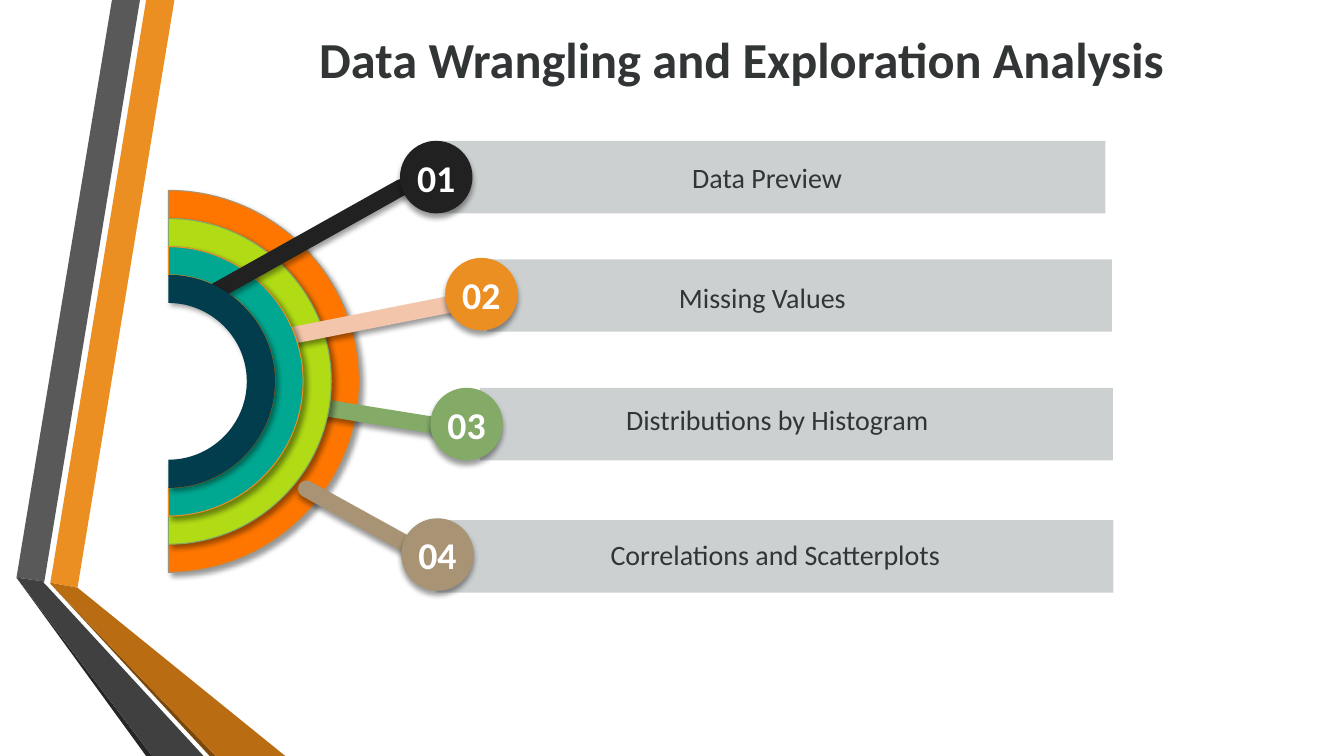
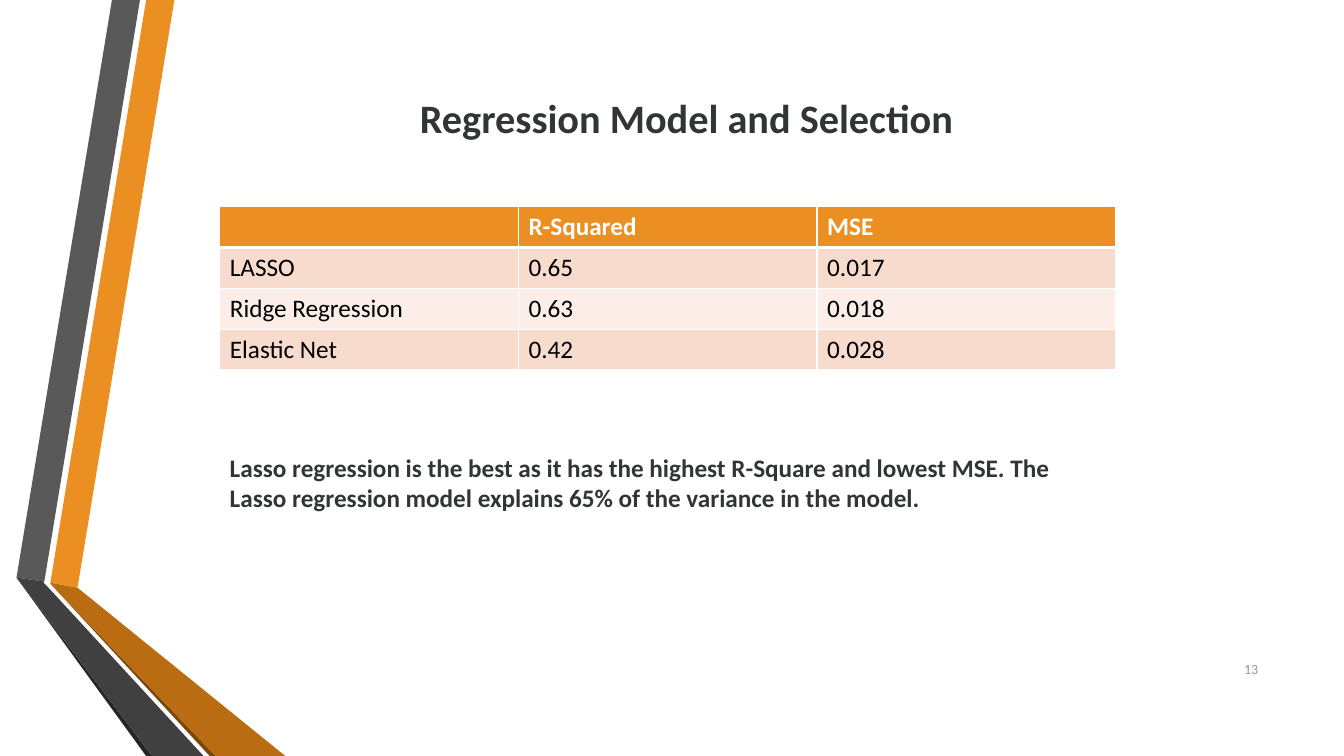
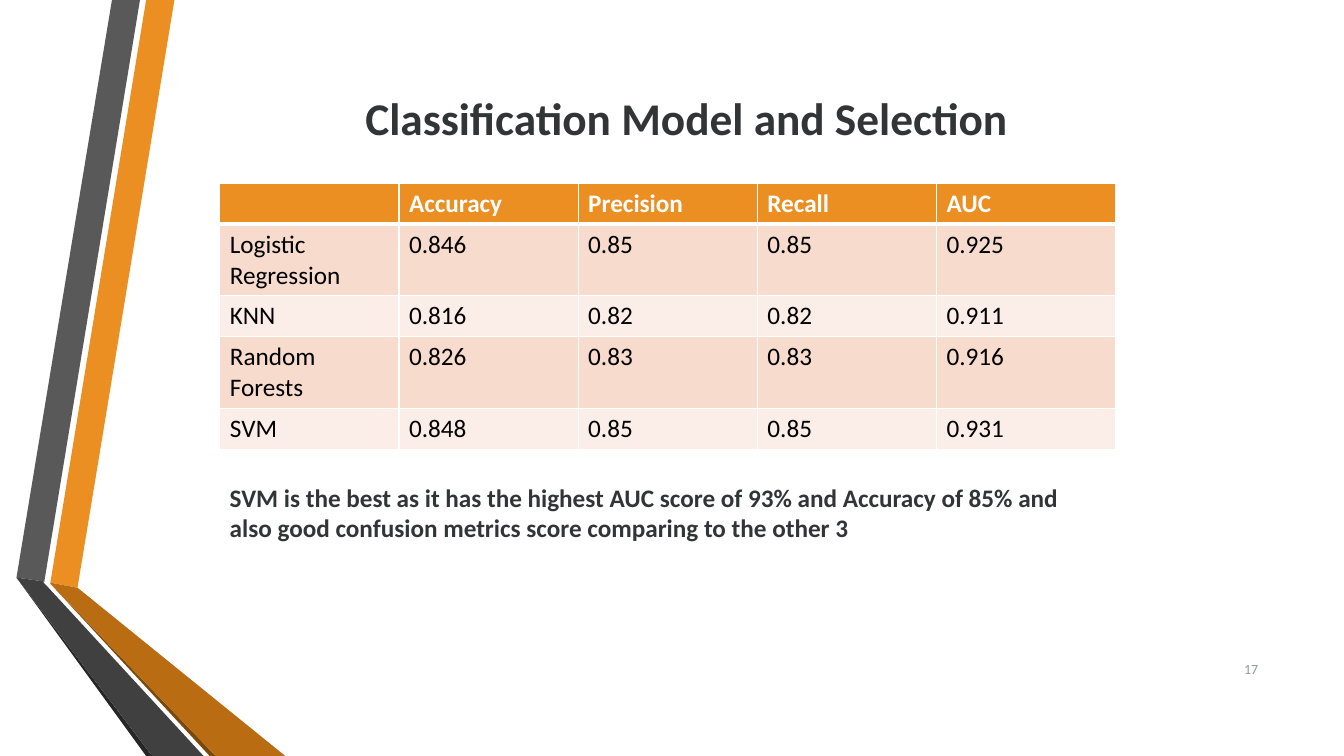
from dataclasses import dataclass

from lxml import etree
from pptx import Presentation
from pptx.dml.color import RGBColor
from pptx.enum.shapes import MSO_CONNECTOR, MSO_SHAPE
from pptx.enum.text import MSO_ANCHOR, MSO_AUTO_SIZE, PP_ALIGN
from pptx.oxml.ns import qn
from pptx.shapes.base import BaseShape
from pptx.slide import Slide
from pptx.text.text import TextFrame
from pptx.util import Pt

RECT, OVAL = MSO_SHAPE.RECTANGLE, MSO_SHAPE.OVAL
LINE = MSO_CONNECTOR.STRAIGHT
LEFT, MID, RIGHT = PP_ALIGN.LEFT, PP_ALIGN.CENTER, PP_ALIGN.RIGHT
TOP, CENTER = MSO_ANCHOR.TOP, MSO_ANCHOR.MIDDLE
FIXED = MSO_AUTO_SIZE.NONE

FACE = "Calibri"
INK, WHITE, BLACK = "323536", "FFFFFF", "000000"
ORANGE, GREEN, TAN, NIGHT = "EB8F22", "83AA67", "A89374", "212121"
PALE, MUTED = "CDD0D1", "9499A1"
BANDS = ("F7DBCD", "FBEEE8")

DISC = 51.8  # disc diameter and bar height
HUB = (120.3, 272.4)  # centre of the half rings
REACH, THICK = 136.4, 20.1  # outer radius, ring width
BEND = 0.55  # handle length of a quarter circle
EDGE, SPAN = 157, 640  # left and width of table and remark

Point = tuple[float, float]
Box = tuple[float, float, float, float]


@dataclass
class Ribbon:
    color: str
    points: list[Point]


@dataclass
class Ring:
    color: str
    edge: str | None


@dataclass
class Callout:
    num: str
    text: str
    color: str
    tone: str  # spoke colour
    bar: tuple[float, float, float]  # left, top, width
    label: tuple[float, float, float]
    disc: Point
    spoke: Box  # from x, y to x, y


@dataclass
class Report:
    title: str
    size: float
    top: float  # table top
    rows: list[list[str]]
    remark: str
    below: float  # remark top
    page: str


RIBBONS = [
    Ribbon(ORANGE, [(36, 416.2), (55.4, 419.8), (124.6, 0), (104.4, 0)]),
    Ribbon("595959", [(100, 0), (80, 0), (11.8, 412.6), (31.7, 415.4)]),
    Ribbon("262626", [(11.8, 412.6), (104.4, 540), (108.7, 540)]),
    Ribbon("7B480B", [(36, 416.9), (149.8, 540), (154.1, 540)]),
    Ribbon("B96C11", [(36, 416.9), (154.1, 540), (203.8, 540),
                      (55.4, 419.8), (36, 416.2)]),
    Ribbon("404040", [(145.4, 540), (34.6, 419.8), (31, 416.2), (31.7, 415.4),
                      (11.8, 412.6), (108.7, 540)]),
]

# Outermost ring first
RINGS = [Ring("FE7600", TAN), Ring("B1DB15", GREEN),
         Ring("00A891", ORANGE), Ring("013D4D", None)]

# Each callout lies on the ring of the same rank
CALLOUTS = [
    Callout("03", "Distributions by Histogram", GREEN, GREEN,
            (342.7, 277, 452.2), (379.2, 284.1, 352),
            (307.4, 277), (207.4, 287.3, 332.6, 307.4)),
    Callout("02", "Missing Values", ORANGE, "F3C6AC",
            (347.8, 185.2, 446.4), (368.6, 196.6, 352),
            (318, 184.2), (197.3, 241.9, 335.5, 214.6)),
    Callout("01", "Data Preview", NIGHT, NIGHT,
            (306, 100.6, 483.6), (337.7, 110.9, 420.5),
            (285.7, 100.6), (149, 211, 286.6, 133.9)),
    Callout("04", "Correlations and Scatterplots", TAN, TAN,
            (311.8, 371.6, 483.6), (377.8, 380.6, 352),
            (286.6, 370.2), (218.9, 349.2, 308.9, 398.9)),
]

REPORTS = [
    Report("Regression Model and Selection", 28.8, 147.5, [
        ["", "R-Squared", "MSE"],
        ["LASSO", "0.65", "0.017"],
        ["Ridge Regression", "0.63", "0.018"],
        ["Elastic Net", "0.42", "0.028"],
    ], "Lasso regression is the best as it has the highest R-Square and lowest "
       "MSE. The Lasso regression model explains 65% of the variance in the "
       "model.", 319.3, "13"),
    Report("Classification Model and Selection", 32.4, 131, [
        ["", "Accuracy", "Precision", "Recall", "AUC"],
        ["Logistic Regression", "0.846", "0.85", "0.85", "0.925"],
        ["KNN", "0.816", "0.82", "0.82", "0.911"],
        ["Random Forests", "0.826", "0.83", "0.83", "0.916"],
        ["SVM", "0.848", "0.85", "0.85", "0.931"],
    ], "SVM is the best as it has the highest AUC score of 93% and Accuracy of "
       "85% and also good confusion metrics score comparing to the other 3",
        340.6, "17"),
]


def paint(fill, color: str) -> None:
    fill.solid()
    fill.fore_color.rgb = RGBColor.from_string(color)


def shade(shape: BaseShape, angle: int | None = None) -> None:
    """Replace the theme shadow by none, or by a soft one at an angle."""
    fx = etree.SubElement(shape.element.spPr, qn("a:effectLst"))
    if angle is not None:
        drop = etree.SubElement(fx, qn("a:outerShdw"), blurRad=str(Pt(4)),
                                dist=str(Pt(3)), dir=str(angle * 60000),
                                algn="ctr", rotWithShape="0")
        tint = etree.SubElement(drop, qn("a:srgbClr"), val=BLACK)
        etree.SubElement(tint, qn("a:alpha"), val="40000")


def finish(shape: BaseShape, color: str, edge: str | None = None,
           angle: int | None = None) -> None:
    paint(shape.fill, color)
    if edge:
        paint(shape.line.fill, edge)
        shape.line.width = Pt(0)
    else:
        shape.line.fill.background()
    shade(shape, angle)


def write(frame: TextFrame, text: str, size: float, color: str = INK,
          bold: bool = False, align=LEFT) -> None:
    para = frame.paragraphs[0]
    para.text = text
    para.alignment = align
    font = para.font
    font.name, font.size, font.bold = FACE, Pt(size), bold
    font.color.rgb = RGBColor.from_string(color)


def label(slide: Slide, box: Box, text: str, size: float, color: str = INK,
          bold: bool = False, align=LEFT, anchor=TOP, pad: float = 7.2) -> None:
    frame = slide.shapes.add_textbox(*map(Pt, box)).text_frame
    frame.word_wrap = True
    frame.vertical_anchor = anchor
    frame.margin_left = frame.margin_right = Pt(pad)
    write(frame, text, size, color, bold, align)


def outline(slide: Slide, points: list[Point]) -> BaseShape:
    first, *rest = [(Pt(x), Pt(y)) for x, y in points]
    pen = slide.shapes.build_freeform(*first)
    pen.add_line_segments(rest, close=True)
    return pen.convert_to_shape()


def head(slide: Slide, text: str, size: float, box: Box) -> None:
    title = slide.shapes.title
    title.left, title.top, title.width, title.height = map(Pt, box)
    frame = title.text_frame
    frame.auto_size, frame.vertical_anchor = FIXED, CENTER
    write(frame, text, size, bold=True, align=MID)


def arc(radius: float) -> list[Point]:
    """Nodes and handles of the right half circle, from top to bottom."""
    x, y = HUB
    bend = BEND * radius
    return [(x, y - radius), (x + bend, y - radius), (x + radius, y - bend),
            (x + radius, y), (x + radius, y + bend), (x + bend, y + radius),
            (x, y + radius)]


def curve(shape: BaseShape) -> None:
    """Turn the straight steps along both arcs into Bezier curves."""
    steps = list(shape.element.iter(qn("a:lnTo")))
    for start in (0, 3, 7, 10):
        trio = steps[start:start + 3]
        bow = etree.Element(qn("a:cubicBezTo"))
        trio[0].addprevious(bow)
        for step in trio:
            bow.append(step[0])
            step.getparent().remove(step)


def draw_ring(slide: Slide, ring: Ring, rank: int) -> None:
    outer = REACH - rank * THICK
    half = outline(slide, arc(outer) + arc(outer - THICK)[::-1])
    curve(half)
    finish(half, ring.color, ring.edge, 45)


def draw_bar(slide: Slide, call: Callout) -> None:
    bar = slide.shapes.add_shape(RECT, *map(Pt, (*call.bar, DISC)))
    finish(bar, PALE)
    label(slide, (*call.label, 31.7), call.text, 20, align=MID, pad=0)


def draw_spoke(slide: Slide, call: Callout) -> None:
    spoke = slide.shapes.add_connector(LINE, *map(Pt, call.spoke))
    paint(spoke.line.fill, call.tone)
    spoke.line.width = Pt(12)
    spoke.element.spPr.find(qn("a:ln")).set("cap", "rnd")
    shade(spoke, 90)

    disc = slide.shapes.add_shape(OVAL, *map(Pt, (*call.disc, DISC, DISC)))
    finish(disc, call.color, angle=90)
    frame = disc.text_frame
    frame.vertical_anchor = CENTER
    frame.margin_left = frame.margin_right = 0
    frame.margin_top = frame.margin_bottom = Pt(2.9)
    write(frame, call.num, 27, WHITE, True, MID)


def border(cell, header: bool) -> None:
    props = cell._tc.get_or_add_tcPr()
    for i, side in enumerate(("lnL", "lnR", "lnT", "lnB")):
        width = 3 if header and side == "lnB" else 1
        line = etree.Element(qn("a:" + side), w=str(Pt(width)))
        solid = etree.SubElement(line, qn("a:solidFill"))
        etree.SubElement(solid, qn("a:srgbClr"), val=WHITE)
        props.insert(i, line)


def draw_table(slide: Slide, rows: list[list[str]], top: float) -> None:
    tall, wide = len(rows), len(rows[0])
    frame = slide.shapes.add_table(tall, wide, Pt(EDGE), Pt(top),
                                   Pt(SPAN), Pt(29.2 * tall))
    for r, row in enumerate(rows):
        header = r == 0
        for c, text in enumerate(row):
            cell = frame.table.cell(r, c)
            paint(cell.fill, ORANGE if header else BANDS[(r - 1) % 2])
            border(cell, header)
            write(cell.text_frame, text, 18, WHITE if header else BLACK, header)


def draw_report(slide: Slide, report: Report) -> None:
    head(slide, report.title, report.size, (96, 59.8, 789, 48))
    draw_table(slide, report.rows, report.top)
    label(slide, (EDGE, report.below, SPAN, 51), report.remark, 18, bold=True)
    label(slide, (862.6, 463.7, 43.2, 28.8), report.page, 10, MUTED,
          align=RIGHT, anchor=CENTER)


def main() -> None:
    deck = Presentation()
    deck.slide_width, deck.slide_height = Pt(960), Pt(540)
    layout = deck.slide_layouts[5]  # title only
    slide = deck.slides.add_slide(layout)

    # Ribbons go to the layout, behind everything on all slides
    for i, ribbon in enumerate(RIBBONS):
        shape = outline(slide, ribbon.points)
        finish(shape, ribbon.color)
        layout.shapes.element.insert(2 + i, shape.element)

    # Overview: bars, then each ring with its spoke
    head(slide, "Data Wrangling and Exploration Analysis", 36,
         (135.4, 8.8, 789, 65.5))
    for call in CALLOUTS:
        draw_bar(slide, call)
    for rank, (ring, call) in enumerate(zip(RINGS, CALLOUTS)):
        draw_ring(slide, ring, rank)
        draw_spoke(slide, call)

    # Model reports
    for report in REPORTS:
        draw_report(deck.slides.add_slide(layout), report)

    deck.save("out.pptx")


if __name__ == "__main__":
    main()
